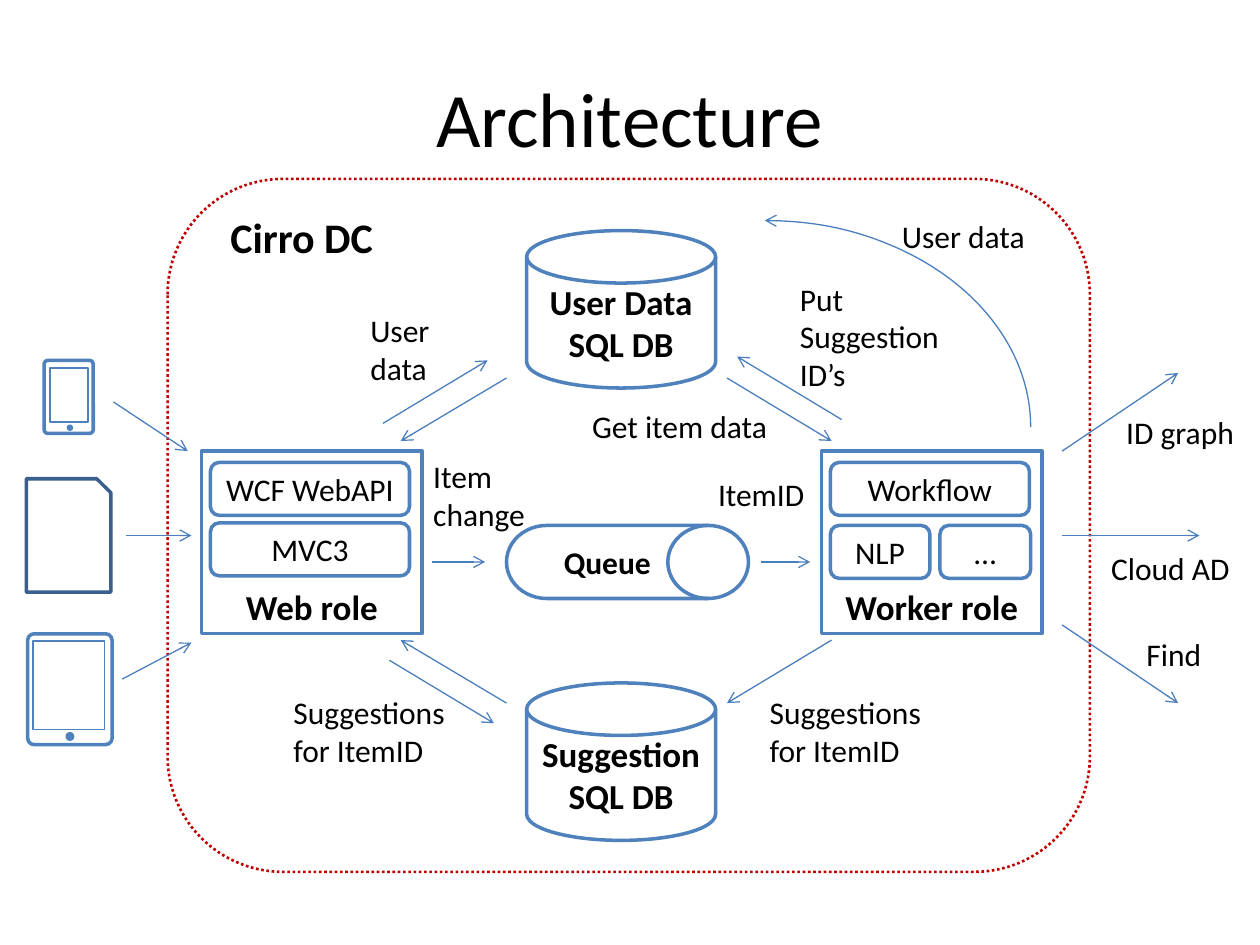
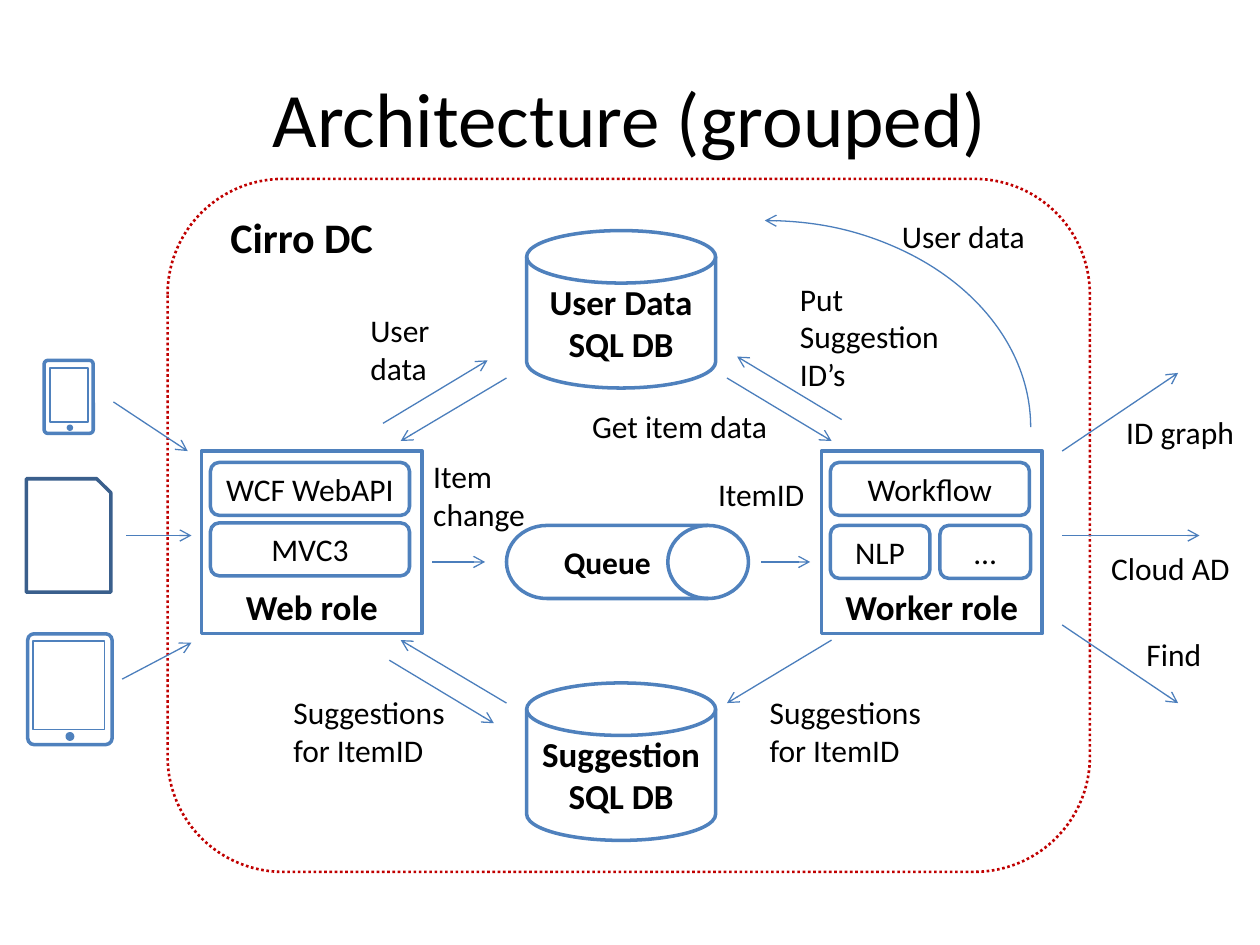
from lxml.etree import SubElement
from pptx import Presentation
from pptx.dml.color import RGBColor
from pptx.enum.dml import MSO_LINE
from pptx.enum.shapes import MSO_CONNECTOR, MSO_SHAPE
from pptx.enum.text import MSO_ANCHOR, MSO_AUTO_SIZE, PP_ALIGN
from pptx.oxml.ns import qn
from pptx.util import Inches, Pt

BLACK = RGBColor(0x00, 0x00, 0x00)
WHITE = RGBColor(0xFF, 0xFF, 0xFF)
RED = RGBColor(0xC0, 0x00, 0x00)
BLUE = RGBColor(0x4F, 0x81, 0xBD)
NAVY = RGBColor(0x3A, 0x5F, 0x8C)
STEEL = RGBColor(0x4B, 0x7E, 0xBC)
FONT = "Calibri"

# Each flow: its arrows (start x, y, end x, y), then its label and box.
# In texts, \n starts a paragraph and \v breaks a line.
FLOWS = [
    ([(3.04, 3.36, 3.87, 2.86), (4.02, 3, 3.18, 3.5)],
     "User\vdata", (2.84, 2.42, 0.68, 0.71)),
    ([(3.43, 4.46, 3.85, 4.46)], "Item\nchange", (3.34, 3.58, 0.94, 0.71)),
    ([(8.43, 3.58, 9.35, 2.96)], "ID graph", (8.84, 3.23, 1.1, 0.4)),
    ([(8.43, 4.25, 9.52, 4.25)], "Cloud AD", (8.72, 4.31, 1.15, 0.4)),
    ([(8.43, 4.96, 9.35, 5.58)], "Find", (9, 4.99, 0.65, 0.4)),
    ([(6.04, 4.46, 6.43, 4.46)], "ItemID", (5.6, 3.72, 0.89, 0.4)),
    ([(6.6, 5.08, 5.77, 5.58)],
     "Suggestions\vfor ItemID", (6.01, 5.45, 1.42, 0.71)),
    ([(6.68, 3.33, 5.85, 2.83)],
     "Put \vSuggestion \vID\u2019s", (6.25, 2.17, 1.38, 1.01)),
    ([(5.77, 3, 6.6, 3.5)], "Get item data", (4.6, 3.18, 1.61, 0.4)),
    ([(4.02, 5.58, 3.18, 5.08), (3.09, 5.24, 3.92, 5.74)],
     "Suggestions\vfor ItemID", (2.23, 5.45, 1.42, 0.71)),
]
INPUTS = [(0.9, 3.19, 1.49, 3.58), (1, 4.25, 1.52, 4.25),
          (0.97, 5.39, 1.52, 5.1)]
PARTS = [
    ("WCF WebAPI", (1.67, 3.67, 1.58, 0.42)),
    ("MVC3", (1.67, 4.15, 1.58, 0.42)),
    ("Workflow", (6.59, 3.67, 1.58, 0.42)),
    ("NLP", (6.59, 4.17, 0.79, 0.42)),
    ("\u2026", (7.46, 4.17, 0.72, 0.42)),
]


def inch(box):
    """Turn numbers into lengths."""
    return [Inches(n) for n in box]


def write(frame, text, size=18, bold=False, align=PP_ALIGN.CENTER):
    """Fill a text frame run by run."""
    for i, line in enumerate(text.split("\n")):
        para = frame.add_paragraph() if i else frame.paragraphs[0]
        para.alignment = align
        for j, part in enumerate(line.split("\v")):
            if j:
                para.add_line_break()
            run = para.add_run()
            run.text = part
            font = run.font
            font.name, font.size, font.bold = FONT, Pt(size), bold
            font.color.rgb = BLACK


def draw(shapes, kind, box, fill=WHITE, line=BLUE, width=2):
    """Add a flat preset shape; no fill when fill is None."""
    shape = shapes.add_shape(kind, *inch(box))
    shape.shadow.inherit = False
    if fill is None:
        shape.fill.background()
    else:
        shape.fill.solid()
        shape.fill.fore_color.rgb = fill
    shape.line.color.rgb = line
    shape.line.width = Pt(width)
    return shape


def block(shapes, kind, box, text, size=18, bold=True,
          anchor=MSO_ANCHOR.MIDDLE):
    """Add a shape with text in it."""
    frame = draw(shapes, kind, box).text_frame
    frame.vertical_anchor = anchor
    write(frame, text, size, bold)


def label(shapes, text, box, size=18, bold=False):
    """Add free text that does not wrap."""
    frame = shapes.add_textbox(*inch(box)).text_frame
    frame.word_wrap = False
    frame.auto_size = MSO_AUTO_SIZE.SHAPE_TO_FIT_TEXT
    write(frame, text, size, bold, PP_ALIGN.LEFT)


def tip(shape, end):
    """Put an open arrowhead on one end of a line."""
    line = shape.element.spPr.find(qn("a:ln"))
    SubElement(line, qn(end)).set("type", "arrow")


def arrow(shapes, ends):
    """Add a thin straight arrow."""
    link = shapes.add_connector(MSO_CONNECTOR.STRAIGHT, *inch(ends))
    link.line.color.rgb = STEEL
    link.line.width = Pt(0.75)
    tip(link, "a:tailEnd")
    SubElement(link.element.spPr, qn("a:effectLst"))


def device(shapes, body, dot, screen):
    """Add a phone or tablet."""
    case = draw(shapes, MSO_SHAPE.ROUNDED_RECTANGLE, body)
    case.adjustments[0] = 0.076
    draw(shapes, MSO_SHAPE.OVAL, dot, BLUE, width=1.5)
    draw(shapes, MSO_SHAPE.RECTANGLE, screen, None, width=1)


def stores(shapes):
    """Add the data centre with its roles, stores and queue."""
    zone = draw(shapes, MSO_SHAPE.ROUNDED_RECTANGLE,
                (1.33, 1.42, 7.32, 5.5), line=RED, width=1.5)
    zone.line.dash_style = MSO_LINE.ROUND_DOT
    for left, text in ((1.6, "Web role"), (6.52, "Worker role")):
        block(shapes, MSO_SHAPE.RECTANGLE, (left, 3.58, 1.75, 1.45),
              text, 20, anchor=MSO_ANCHOR.BOTTOM)
    for top, text in ((5.42, "Suggestion"), (1.83, "User Data")):
        block(shapes, MSO_SHAPE.FLOWCHART_MAGNETIC_DISK,
              (4.18, top, 1.5, 1.25), text + "\nSQL DB", 20)
    block(shapes, MSO_SHAPE.FLOWCHART_DIRECT_ACCESS_STORAGE,
          (4.02, 4.17, 1.92, 0.58), "Queue")
    for text, box in PARTS:
        block(shapes, MSO_SHAPE.ROUNDED_RECTANGLE, box, text, bold=False)
    label(shapes, "Cirro DC", (1.73, 1.63, 1.47, 0.5), 24, True)


def chart(shapes, whole):
    """Draw the diagram; group each flow unless the whole is one group."""
    def nest():
        return shapes if whole else shapes.add_group_shape().shapes

    stores(shapes)
    for ends, text, box in FLOWS:
        flow = nest()
        for pair in ends:
            arrow(flow, pair)
        label(flow, text, box)

    flow = nest()
    curve = draw(flow, MSO_SHAPE.ARC, (3.96, 1.75, 4.22, 3.28),
                 None, STEEL, 0.75)
    tip(curve, "a:headEnd")
    label(flow, "User data", (7.06, 1.67, 1.19, 0.4))

    draw(shapes, MSO_SHAPE.SNIP_1_RECTANGLE, (0.21, 3.8, 0.67, 0.9),
         None, NAVY)
    device(nest(), (0.22, 5.03, 0.67, 0.88), (0.53, 5.82, 0.05, 0.05),
           (0.26, 5.09, 0.57, 0.7))
    device(nest(), (0.35, 2.86, 0.39, 0.58), (0.54, 3.38, 0.03, 0.03),
           (0.4, 2.92, 0.3, 0.43))
    for ends in INPUTS:
        arrow(shapes, ends)


def page(deck, text):
    """Add a slide with its title and return its shapes."""
    shapes = deck.slides.add_slide(deck.slide_layouts[5]).shapes
    title = shapes.title
    title.left, title.top, title.width, title.height = inch(
        (0.5, 0.3, 9, 1.25))
    title.text_frame.vertical_anchor = MSO_ANCHOR.MIDDLE
    write(title.text_frame, text, 44)
    return shapes


def main():
    """Build both slides."""
    deck = Presentation()
    deck.slide_width, deck.slide_height = Inches(10), Inches(7.5)
    chart(page(deck, "Architecture"), False)
    shapes = page(deck, "Architecture (grouped)")
    chart(shapes.add_group_shape().shapes, True)
    deck.save("out.pptx")


main()
